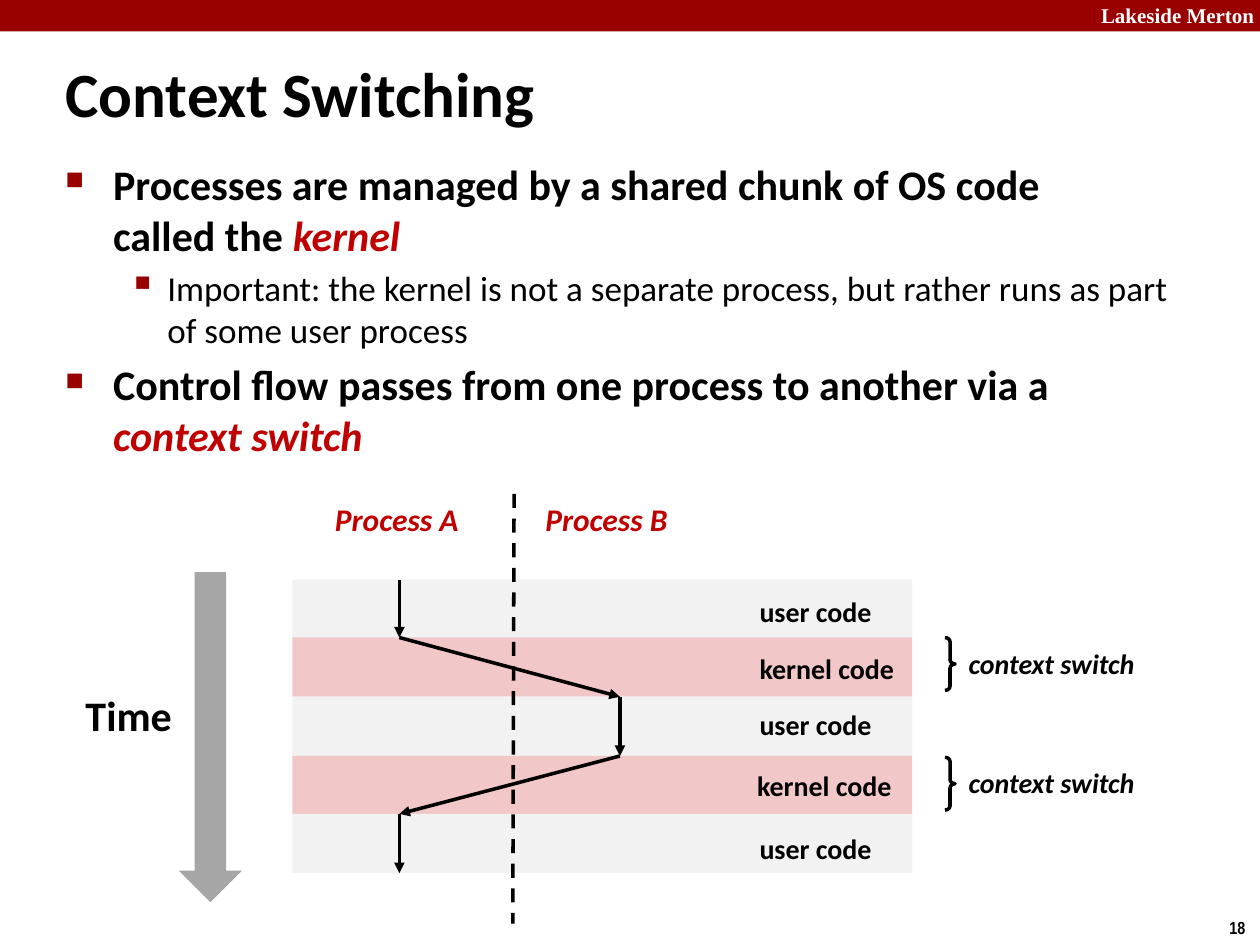
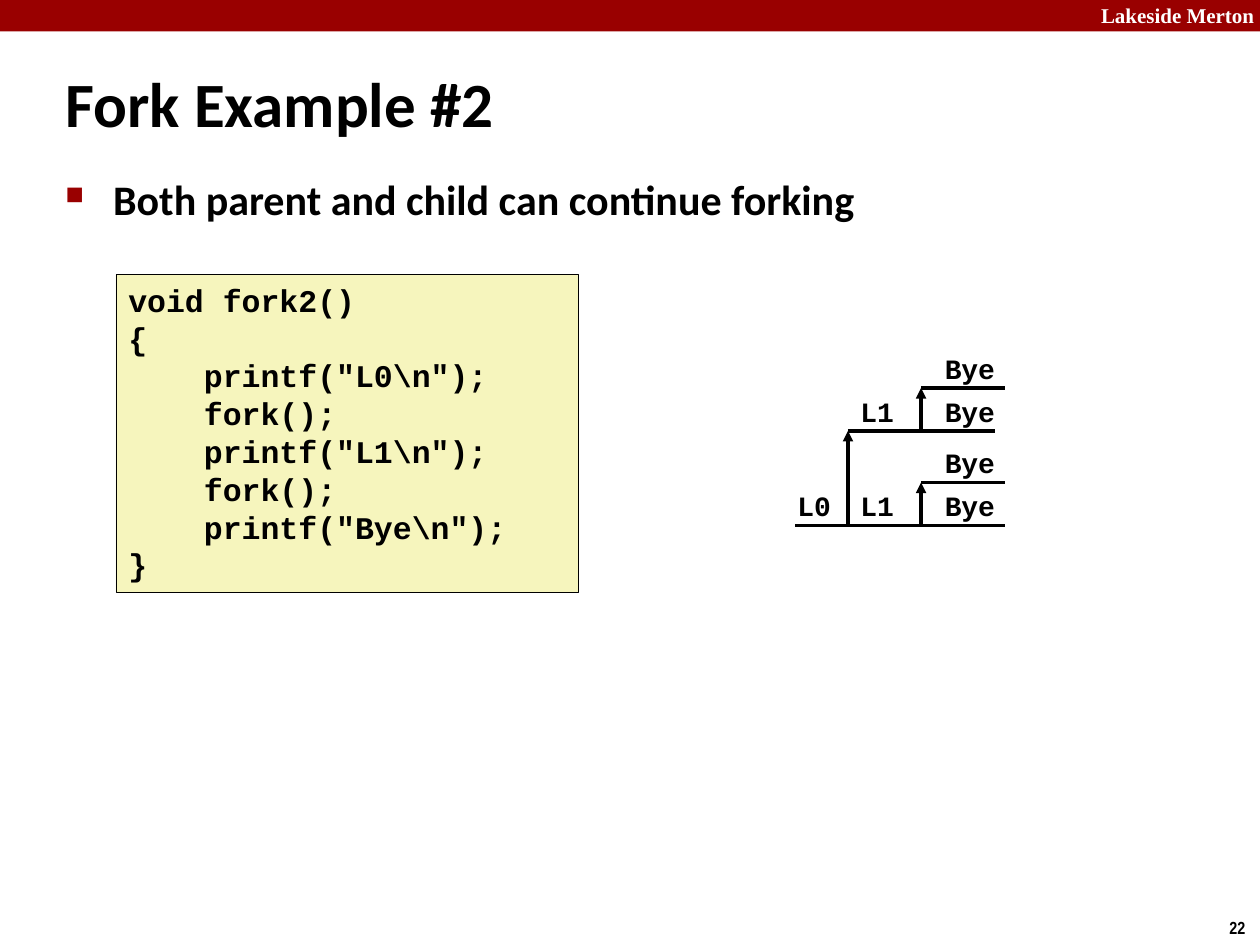
from lxml import etree
from pptx import Presentation
from pptx.dml.color import RGBColor
from pptx.enum.dml import MSO_LINE
from pptx.enum.shapes import MSO_CONNECTOR, MSO_SHAPE
from pptx.enum.text import MSO_ANCHOR, MSO_AUTO_SIZE, PP_ALIGN
from pptx.oxml.ns import qn
from pptx.util import Inches, Pt

COLORS = {
    "black": "000000",
    "white": "FFFFFF",
    "band": "990000",
    "emphasis": "C00000",
    "kernel": "F1C7C7",
    "user": "F2F2F2",
    "time": "A6A6A6",
    "code": "F6F5BD",
}
BODY_FONT = "Calibri"
CODE_FONT = "Courier New"
EMPHASIS = {"color": "emphasis", "italic": True}
# Per level: text size, bold, left margin, hanging indent, bullet, bullet percent
BULLET_LEVELS = (
    (24, True, 0.38, -0.38, "■", 60),
    (20, False, 0.81, -0.31, "▪", 110),
)


def rgb(name):
    return RGBColor.from_string(COLORS[name])


def add_run(paragraph, text, font=BODY_FONT, size=16, color="black", bold=True, italic=False):
    run = paragraph.add_run()
    run.text = text
    run.font.name = font
    run.font.size = Pt(size)
    run.font.color.rgb = rgb(color)
    run.font.bold = bold
    run.font.italic = italic


def add_text(slide, text, left, top, width, height, wrap=False, **text_format):
    box = slide.shapes.add_textbox(Inches(left), Inches(top), Inches(width), Inches(height))
    box.text_frame.word_wrap = wrap
    add_run(box.text_frame.paragraphs[0], text, **text_format)


def add_shape(slide, kind, left, top, width, height, fill=None, line=None, line_width=2):
    shape = slide.shapes.add_shape(kind, Inches(left), Inches(top), Inches(width), Inches(height))
    shape.shadow.inherit = False
    if fill:
        shape.fill.solid()
        shape.fill.fore_color.rgb = rgb(fill)
    else:
        shape.fill.background()
    if line:
        shape.line.color.rgb = rgb(line)
        shape.line.width = Pt(line_width)
    else:
        shape.line.fill.background()
    return shape


def add_line(slide, start, end, arrow=False, dashed=False):
    connector = slide.shapes.add_connector(
        MSO_CONNECTOR.STRAIGHT, *(Inches(value) for value in (*start, *end)))
    connector.line.color.rgb = rgb("black")
    connector.line.width = Pt(2)
    if dashed:
        connector.line.dash_style = MSO_LINE.DASH
    properties = connector._element.spPr
    if arrow:
        etree.SubElement(properties.find(qn("a:ln")), qn("a:tailEnd"), type="triangle")
    etree.SubElement(properties, qn("a:effectLst"))


def set_indent(paragraph, margin, indent=0):
    properties = paragraph._p.get_or_add_pPr()
    properties.set("marL", str(Inches(margin)))
    properties.set("indent", str(Inches(indent)))
    return properties


def next_paragraph(text_frame, index):
    return text_frame.add_paragraph() if index else text_frame.paragraphs[0]


def add_bullets(slide, bullets, left, top, width, height):
    """Each bullet is a level and its (text, format) runs; None is a line break."""
    box = slide.shapes.add_textbox(Inches(left), Inches(top), Inches(width), Inches(height))
    box.text_frame.word_wrap = True
    for index, (level, runs) in enumerate(bullets):
        size, bold, margin, indent, character, percent = BULLET_LEVELS[level]
        paragraph = next_paragraph(box.text_frame, index)
        paragraph.level = level
        paragraph.space_before = Pt(size * 0.2)
        properties = set_indent(paragraph, margin, indent)
        bullet_color = etree.SubElement(properties, qn("a:buClr"))
        etree.SubElement(bullet_color, qn("a:srgbClr"), val=COLORS["band"])
        etree.SubElement(properties, qn("a:buSzPct"), val=str(percent * 1000))
        etree.SubElement(properties, qn("a:buChar"), char=character)
        for run in runs:
            if run is None:
                paragraph.add_line_break()
            else:
                text, text_format = run
                add_run(paragraph, text, size=size, bold=bold, **text_format)


def add_code(slide, lines, left, top, width, height):
    """Each line is its indent depth and its text."""
    box = add_shape(slide, MSO_SHAPE.RECTANGLE, left, top, width, height,
                    fill="code", line="black", line_width=0.25)
    box.text_frame.word_wrap = True
    box.text_frame.vertical_anchor = MSO_ANCHOR.TOP
    for index, (depth, text) in enumerate(lines):
        paragraph = next_paragraph(box.text_frame, index)
        paragraph.alignment = PP_ALIGN.LEFT
        set_indent(paragraph, depth * 0.6)
        add_run(paragraph, text, font=CODE_FONT, size=18)


def add_titled_slide(presentation, title_text, number, title_top, title_width):
    slide = presentation.slides.add_slide(presentation.slide_layouts[5])
    add_shape(slide, MSO_SHAPE.RECTANGLE, 0, 0, 10, 0.25, fill="band")
    add_text(slide, "Lakeside Merton", 8.64, -0.03, 1.43, 0.3, wrap=True,
             font="Times New Roman", size=12, color="white")
    add_text(slide, str(number), 9.66, 7.23, 0.34, 0.27, font="Arial Narrow", size=10)
    title = slide.shapes.title
    title.left, title.top = Inches(0.42), Inches(title_top)
    title.width, title.height = Inches(title_width), Inches(0.63)
    title.text_frame.auto_size = MSO_AUTO_SIZE.NONE
    title.text_frame.vertical_anchor = MSO_ANCHOR.MIDDLE
    paragraph = title.text_frame.paragraphs[0]
    paragraph.alignment = PP_ALIGN.LEFT
    add_run(paragraph, title_text, size=36)
    return slide


def add_process_timeline(slide):
    edges = (4.6, 5.06, 5.53, 6, 6.46, 6.93)
    label_places = ((5.93, 4.67), (5.93, 5.12), (5.93, 5.57), (5.91, 6.05), (5.93, 6.55))
    process_a, process_b = 3.17, 4.92
    for index, top in enumerate(edges[:-1]):
        add_shape(slide, MSO_SHAPE.RECTANGLE, 2.32, top, 4.92, 0.47,
                  fill="kernel" if index % 2 else "user")
    for index, (left, top) in enumerate(label_places):
        mode, width = ("kernel", 1.28) if index % 2 else ("user", 1.1)
        add_text(slide, f"{mode} code", left, top, width, 0.37)

    for name, left in (("Process A", 2.56), ("Process B", 4.23)):
        add_text(slide, name, left, 3.92, 1.2, 0.4, size=18, **EMPHASIS)
    add_line(slide, (4.08, 3.92), (4.07, 7.33), dashed=True)

    columns = (process_a, process_a, process_b, process_b, process_a, process_a)
    flow = list(zip(columns, edges))
    for start, end in zip(flow, flow[1:]):
        add_line(slide, start, end, arrow=True)

    for top in (5.06, 6.01):
        brace = add_shape(slide, MSO_SHAPE.RIGHT_BRACE, 7.5, top, 0.08, 0.42, line="black")
        brace.adjustments[0] = 0.417
        add_text(slide, "context switch", 7.59, top + 0.02, 1.54, 0.37, italic=True)

    add_text(slide, "Time", 0.58, 5.42, 0.89, 0.5, size=24)
    add_shape(slide, MSO_SHAPE.DOWN_ARROW, 1.42, 4.54, 0.5, 2.62, fill="time")


def add_fork_graph(slide):
    start, first_fork, second_fork, end = 6.31, 6.73, 7.31, 7.98
    parent, child = 4.17, 3.42
    fork_rise = 0.34

    def add_output(text, left, baseline):
        add_text(slide, text, left, baseline - 0.34, 0.6 if text == "Bye" else 0.47, 0.37,
                 font=CODE_FONT)

    add_line(slide, (start, parent), (first_fork, parent))
    add_output("L0", 6.23, parent)
    add_line(slide, (first_fork, parent), (first_fork, child), arrow=True)
    for baseline, line_end in ((parent, end), (child, 7.9)):
        forked = baseline - fork_rise
        add_line(slide, (first_fork, baseline), (second_fork, baseline))
        add_output("L1", first_fork, baseline)
        add_line(slide, (second_fork, baseline), (second_fork, forked), arrow=True)
        for level, right in ((baseline, line_end), (forked, end)):
            add_line(slide, (second_fork, level), (right, level))
            add_output("Bye", 7.4, level)


def add_context_switching(presentation):
    slide = add_titled_slide(presentation, "Context Switching", 18, 0.42, 6.39)
    add_bullets(slide, [
        (0, [("Processes are managed by a shared chunk of OS code ", {}), None,
             ("called the ", {}), ("kernel", EMPHASIS)]),
        (1, [("Important: the kernel is not a separate process, but rather runs "
              "as part of some user process", {})]),
        (0, [("Control flow passes from one process to another via a ", {}),
             ("context switch", EMPHASIS)]),
    ], 0.42, 1.21, 9.07, 2.79)
    add_process_timeline(slide)


def add_fork_example(presentation):
    slide = add_titled_slide(presentation, "Fork Example #2", 22, 0.5, 5.57)
    add_bullets(slide, [(0, [("Both parent and child can continue forking", {})])],
                0.42, 1.33, 8.64, 0.84)
    add_code(slide, [
        (0, "void fork2()"),
        (0, "{"),
        (1, 'printf("L0\\n");'),
        (1, "fork();"),
        (1, 'printf("L1\\n");'),
        (1, "fork();"),
        (1, 'printf("Bye\\n");'),
        (0, "}"),
    ], 0.92, 2.18, 3.67, 2.52)
    add_fork_graph(slide)


def main():
    presentation = Presentation()
    presentation.slide_width = Inches(10)
    presentation.slide_height = Inches(7.5)
    add_context_switching(presentation)
    add_fork_example(presentation)
    presentation.save("out.pptx")


if __name__ == "__main__":
    main()
